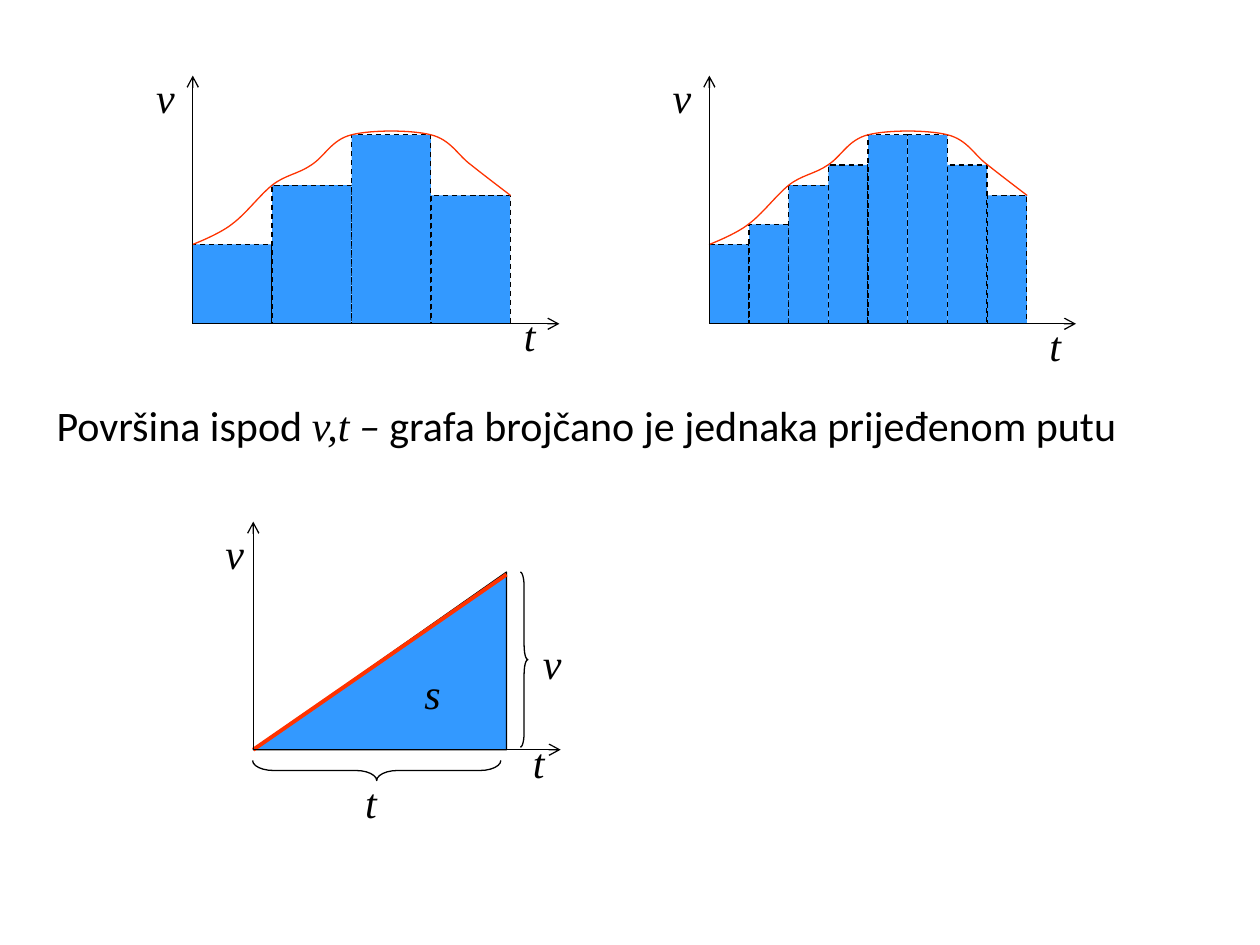
from lxml.etree import SubElement
from pptx import Presentation
from pptx.dml.color import RGBColor
from pptx.enum.dml import MSO_LINE_DASH_STYLE as Dash
from pptx.enum.shapes import MSO_CONNECTOR_TYPE as Connector, MSO_SHAPE as Shape
from pptx.oxml.ns import qn
from pptx.util import Pt

EMU_PER_PX = 9144
BLACK = RGBColor(0x00, 0x00, 0x00)
BLUE = RGBColor(0x33, 0x99, 0xFF)
CYAN = RGBColor(0x00, 0xCC, 0xFF)
RED = RGBColor(0xFF, 0x33, 0x00)
SYMBOL = {"name": "Times New Roman", "italic": True}
WORDS = {"name": "Calibri", "italic": False}
DASH = {"name": "Calibri", "italic": True}

COARSE_BARS = [63, 110, 150, 102]
FINE_BARS = [63, 79, 110, 126, 150, 150, 126, 102]
SPEED_CURVE = [
    (0, 63),
    (0, 63), (21, 71), (31, 79),
    (42, 87), (53, 102), (63, 110),
    (73, 118), (84, 119), (94, 126),
    (105, 133), (110, 146), (126, 150),
    (142, 154), (173, 154), (189, 150),
    (205, 146), (210, 134), (221, 126),
    (231, 118), (252, 102), (252, 102),
]


def px(value):
    return round(value * EMU_PER_PX)


def style_shape(shape, fill=None, line=BLACK, dash=None):
    shape.shadow.inherit = False
    if fill is None:
        shape.fill.background()
    else:
        shape.fill.solid()
        shape.fill.fore_color.rgb = fill
    shape.line.color.rgb = line
    shape.line.width = Pt(0.75)
    if dash is not None:
        shape.line.dash_style = dash


def add_preset(page, kind, left, top, width, height, **style):
    shape = page.shapes.add_shape(kind, px(left), px(top), px(width), px(height))
    style_shape(shape, **style)
    return shape


def add_outline(page, points, **style):
    corners = [(px(x), px(y)) for x, y in points]
    builder = page.shapes.build_freeform(*corners[0], scale=1.0)
    builder.add_line_segments(corners[1:], close=True)
    shape = builder.convert_to_shape()
    style_shape(shape, **style)
    return shape


def add_speed_curve(page, left, base):
    there = [(left + x, base - y) for x, y in SPEED_CURVE]
    curve = add_outline(page, there + there[-2::-1], fill=CYAN, line=RED)
    segments = list(curve._element.iter(qn("a:lnTo")))
    for first, second, last in zip(segments[::3], segments[1::3], segments[2::3]):
        outline = first.getparent()
        bezier = outline.makeelement(qn("a:cubicBezTo"))
        outline.replace(first, bezier)
        for segment in (first, second, last):
            bezier.append(segment[0])
        outline.remove(second)
        outline.remove(last)


def add_line(page, start, end, color=BLACK, width=0.75, arrow=False):
    line = page.shapes.add_connector(Connector.STRAIGHT, *map(px, start + end))
    line.line.color.rgb = color
    line.line.width = Pt(width)
    if arrow:
        SubElement(line.line._get_or_add_ln(), qn("a:tailEnd"), type="arrow")
    SubElement(line._element.spPr, qn("a:effectLst"))


def add_text(page, left, top, width, spans, wrap=True):
    box = page.shapes.add_textbox(px(left), px(top), px(width), px(50))
    box.text_frame.word_wrap = wrap
    para = box.text_frame.paragraphs[0]
    for text, font in spans:
        span = para.add_run()
        span.text = text
        span.font.size = Pt(24)
        span.font.color.rgb = BLACK
        for name, value in font.items():
            setattr(span.font, name, value)


def add_symbol(page, left, top, letter):
    add_text(page, left, top, 39, [(letter, SYMBOL)])


def add_axes(page, left, base, width, height):
    add_line(page, (left, base), (left, base - height), arrow=True)
    add_line(page, (left, base), (left + width, base), arrow=True)


def add_bar_graph(page, left, base, heights, t_offset):
    width = 252 / len(heights)
    for index, height in enumerate(heights):
        add_preset(page, Shape.RECTANGLE, left + index * width, base - height,
                   width, height, fill=BLUE, dash=Dash.DASH)
    add_speed_curve(page, left, base)
    add_axes(page, left, base, 291, 197)
    add_symbol(page, left - 39, base - 205, "v")
    add_symbol(page, left + t_offset[0], base + t_offset[1], "t")


def add_triangle_graph(page, left, base):
    right, peak = left + 201, base - 141
    add_outline(page, [(left, base), (right, peak), (right, base)], fill=BLUE)
    add_line(page, (left, base), (right, peak + 2), color=RED, width=2.25)
    side = add_preset(page, Shape.RIGHT_BRACE, right + 11, peak, 6, 139)
    side.adjustments[0] = 1.91
    under = add_preset(page, Shape.LEFT_BRACE, left + 90, base - 82, 16, 197)
    under.adjustments[0] = 1.04
    under.rotation = 270
    add_axes(page, left, base, 244, 181)
    for x, y, letter in [(-32, -181, "v"), (212, -15, "t"), (126, -70, "s"),
                         (220, -94, "v"), (79, 16, "t")]:
        add_symbol(page, left + x, base + y, letter)


def add_statement(page, left, top, width):
    add_text(page, left, top, width, [
        ("Površina ispod ", WORDS),
        ("v,t", SYMBOL),
        (" – ", DASH),
        ("grafa brojčano je jednaka prijeđenom putu", WORDS),
    ], wrap=False)


def main():
    deck = Presentation()
    deck.slide_width, deck.slide_height = px(1000), px(750)
    page = deck.slides.add_slide(deck.slide_layouts[6])
    add_bar_graph(page, 153, 257, COARSE_BARS, (253, -16))
    add_bar_graph(page, 563, 257, FINE_BARS, (260, -8))
    add_statement(page, 35, 312, 869)
    add_triangle_graph(page, 201, 595)
    deck.save("out.pptx")


if __name__ == "__main__":
    main()
